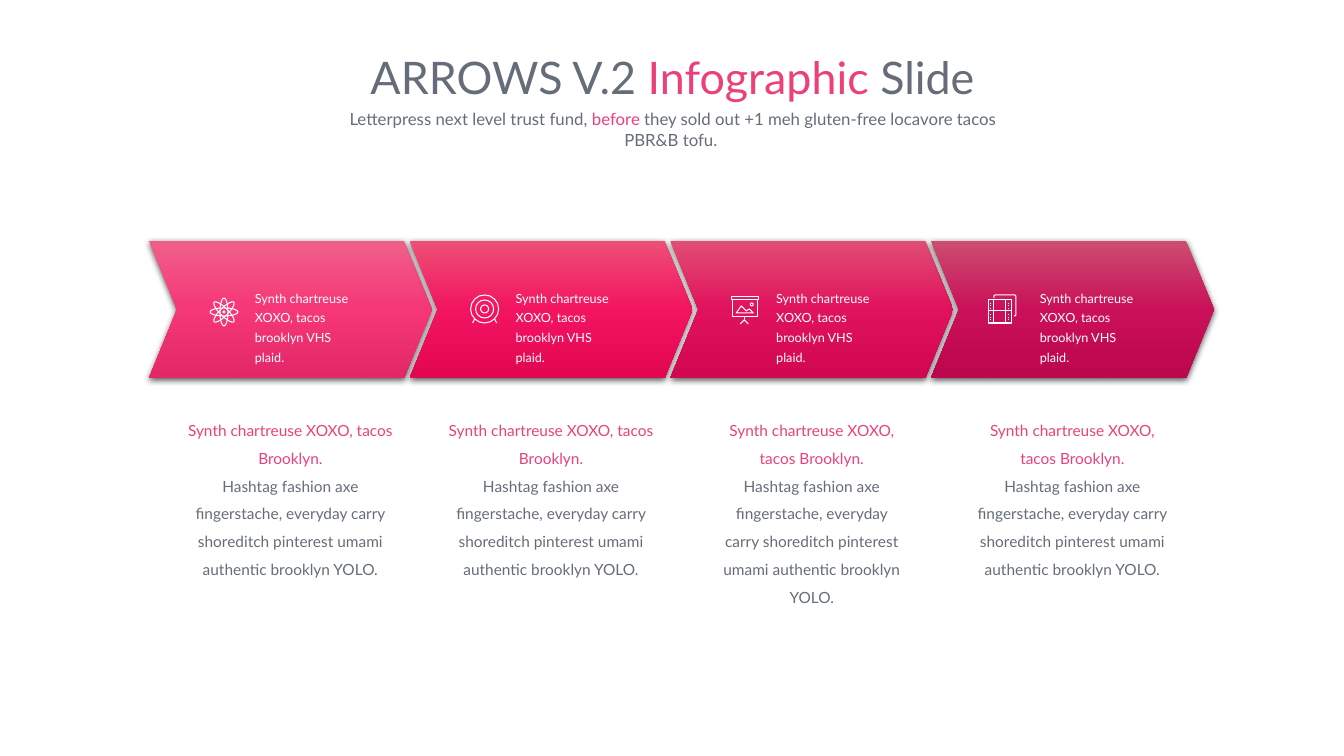
import math

import pptx
import pptx.dml.color
import pptx.enum.text
import pptx.oxml
import pptx.oxml.ns
import pptx.util

# Theme
THEME = {
    "font": "Lato", "slate": "656D78", "pink": "EC407A", "white": "FFFFFF",
    "title": 32, "subtitle": 12, "caption": 11, "label": 9, "stroke": 0.75,
}

# Content: paragraphs are lists of (text, colour) runs
HEADLINE = [[("ARROWS V.2 ", "slate"), ("Infographic ", "pink"), ("Slide", "slate")]]
SUBTITLE = [[("Letterpress next level trust fund, ", "slate"), ("before", "pink"),
             (" they sold out +1 meh gluten-free locavore tacos PBR&B tofu. ", "slate")]]
LABEL = [[("Synth chartreuse XOXO, tacos brooklyn VHS plaid.", "white")]]
CAPTION = [
    [("Synth chartreuse XOXO, tacos Brooklyn.", "pink")],
    [("Hashtag fashion axe fingerstache, everyday carry shoreditch pinterest "
      "umami authentic brooklyn YOLO.", "slate")],
]


# Icon strokes: (closed, points) in pixels from the icon's corner
def ellipse(x, y, width, height, turn=0, corners=16):
    cos_turn, sin_turn = math.cos(math.radians(turn)), math.sin(math.radians(turn))
    points = []
    for corner in range(corners):
        angle = 2 * math.pi * corner / corners
        across, down = width / 2 * math.cos(angle), height / 2 * math.sin(angle)
        points.append((x + width / 2 + across * cos_turn - down * sin_turn,
                       y + height / 2 + across * sin_turn + down * cos_turn))
    return True, points


def box(x, y, width, height):
    return True, [(x, y), (x + width, y), (x + width, y + height), (x, y + height)]


def line(*points):
    return False, points


ATOM = [ellipse(0, 10, 28, 8, turn) for turn in (0, 45, 90, 135)] + [
    ellipse(13, 13, 2, 2, corners=8)]
TARGET = [ellipse(inset, inset, 28 - 2 * inset, 28 - 2 * inset) for inset in (0, 5, 10)] + [
    line((4, 24), (2, 28)), line((24, 24), (26, 28))]
BOARD = [
    box(1, 1, 27, 3), box(2, 4, 25, 17), ellipse(20, 7, 3, 3, corners=8),
    (True, [(6, 17), (11, 10), (16, 15), (19, 13), (23, 17)]),
    line((14, 21), (14, 24)), line((10, 28), (14, 24), (18, 28))]
FILM = [
    box(1, 6, 23, 23), line((6, 6), (6, 29)), line((18, 6), (18, 29)), line((1, 17), (24, 17)),
    line((6, 4), (6, 2), (7, 1), (27, 1), (28, 2), (28, 21), (27, 22), (26, 22)),
] + [line((x, y), (x, y + 1)) for x in (3, 21) for y in (9, 11, 14, 20, 23, 25)]

STEPS = [
    {"shades": ("F05F8A", "F53777", "E32767"), "icon": ATOM, "icon_at": (61, 298),
     "label_inset": 96, "caption_width": 234},
    {"shades": ("EE4F77", "F31460", "E30651"), "icon": TARGET, "icon_at": (61, 295),
     "label_inset": 96, "caption_width": 234},
    {"shades": ("E14D74", "E1125D", "D10751"), "icon": BOARD, "icon_at": (60, 296),
     "label_inset": 96, "caption_width": 207},
    {"shades": ("CC4D70", "CA1059", "BC064E"), "icon": FILM, "icon_at": (57, 294),
     "label_inset": 99, "caption_width": 220},
]

# Layout in pixels
SCALE = 914400 / 100.8
GRAIN = 100  # freeform units per pixel
FIRST_LEFT, LAST_LEFT = 149, 931
ARROW_TOP, ARROW_WIDTH, ARROW_HEIGHT, NOTCH = 241, 283, 137, 28
LABEL_TOP, LABEL_WIDTH, LABEL_HEIGHT = 281, 126, 70
CAPTION_TOP, CAPTION_HEIGHT = 407, 175

ALIGN = pptx.enum.text.PP_ALIGN


def px(*lengths):
    return [pptx.util.Emu(round(length * SCALE)) for length in lengths]


def colour(name):
    return pptx.dml.color.RGBColor.from_string(THEME[name])


def write(frame, paragraphs, size, align=ALIGN.CENTER, spacing=1.0):
    frame.word_wrap = True
    frame.auto_size = pptx.enum.text.MSO_AUTO_SIZE.SHAPE_TO_FIT_TEXT
    frame.vertical_anchor = pptx.enum.text.MSO_ANCHOR.TOP
    for index, pieces in enumerate(paragraphs):
        paragraph = frame.add_paragraph() if index else frame.paragraphs[0]
        paragraph.alignment = align
        paragraph.line_spacing = spacing
        paragraph.space_before = pptx.util.Pt(0)
        for words, tint in pieces:
            run = paragraph.add_run()
            run.text = words
            run.font.name = THEME["font"]
            run.font.size = pptx.util.Pt(THEME[size])
            run.font.color.rgb = colour(tint)


def place(holder, left, top, width, height):
    holder.left, holder.top, holder.width, holder.height = px(left, top, width, height)


def draw(shapes, contours, left, top):
    contours = [(closed, [(x * GRAIN, y * GRAIN) for x, y in points])
                for closed, points in contours]
    builder = shapes.build_freeform(*contours[0][1][0], scale=SCALE / GRAIN)
    for index, (closed, points) in enumerate(contours):
        if index:
            builder.move_to(*points[0])
        builder.add_line_segments(points[1:], close=closed)
    drawing = builder.convert_to_shape(*px(left, top))
    drawing.shadow.inherit = False
    return drawing


def add_arrow(left, shades):
    middle, shoulder = ARROW_HEIGHT / 2, ARROW_WIDTH - NOTCH
    outline = [(NOTCH, middle), (0, 0), (shoulder, 0), (ARROW_WIDTH, middle),
               (shoulder, ARROW_HEIGHT), (0, ARROW_HEIGHT)]
    arrow = draw(slide.shapes, [(True, outline)], left, ARROW_TOP)
    arrow.line.fill.background()
    arrow.fill.gradient()
    arrow.fill.gradient_angle = 270
    properties = arrow._element.spPr
    stops = properties.find(".//" + pptx.oxml.ns.qn("a:gsLst"))
    for old in list(stops):
        stops.remove(old)
    namespace = pptx.oxml.ns.nsdecls("a")
    for position, shade in zip((0, 50000, 100000), shades):
        stops.append(pptx.oxml.parse_xml(
            f'<a:gs {namespace} pos="{position}"><a:srgbClr val="{shade}"/></a:gs>'))
    properties.find(pptx.oxml.ns.qn("a:effectLst")).append(pptx.oxml.parse_xml(
        f'<a:outerShdw {namespace} blurRad="57150" dist="19050" dir="5400000" algn="ctr" '
        'rotWithShape="0"><a:srgbClr val="000000"><a:alpha val="63000"/></a:srgbClr>'
        '</a:outerShdw>'))


deck = pptx.Presentation()
deck.slide_width, deck.slide_height = px(1344, 756)
slide = deck.slides.add_slide(deck.slide_layouts[0])

# Headline and subtitle
headline, subtitle = slide.placeholders
place(headline, 256, 45, 833, 65)
write(headline.text_frame, HEADLINE, "title")
place(subtitle, 323, 104, 700, 30)
write(subtitle.text_frame, SUBTITLE, "subtitle")

# Arrow band
pitch = (LAST_LEFT - FIRST_LEFT) / (len(STEPS) - 1)
lefts = [FIRST_LEFT + pitch * index for index in range(len(STEPS))]
for left, step in zip(lefts, STEPS):
    add_arrow(left, step["shades"])

# Captions centred below the arrows
for left, step in zip(lefts, STEPS):
    width = step["caption_width"]
    caption = slide.shapes.add_textbox(
        *px(left + (ARROW_WIDTH - width) / 2, CAPTION_TOP, width, CAPTION_HEIGHT))
    write(caption.text_frame, CAPTION, "caption", spacing=1.5)

# Label and icon grouped on each arrow
for left, step in zip(lefts, STEPS):
    badge = slide.shapes.add_group_shape().shapes
    label = badge.add_textbox(
        *px(left + step["label_inset"], LABEL_TOP, LABEL_WIDTH, LABEL_HEIGHT))
    write(label.text_frame, LABEL, "label", ALIGN.LEFT, 1.3)
    icon_left, icon_top = step["icon_at"]
    icon = draw(badge, step["icon"], left + icon_left, icon_top)
    icon.fill.background()
    icon.line.color.rgb = colour("white")
    icon.line.width = pptx.util.Pt(THEME["stroke"])

deck.save("out.pptx")
